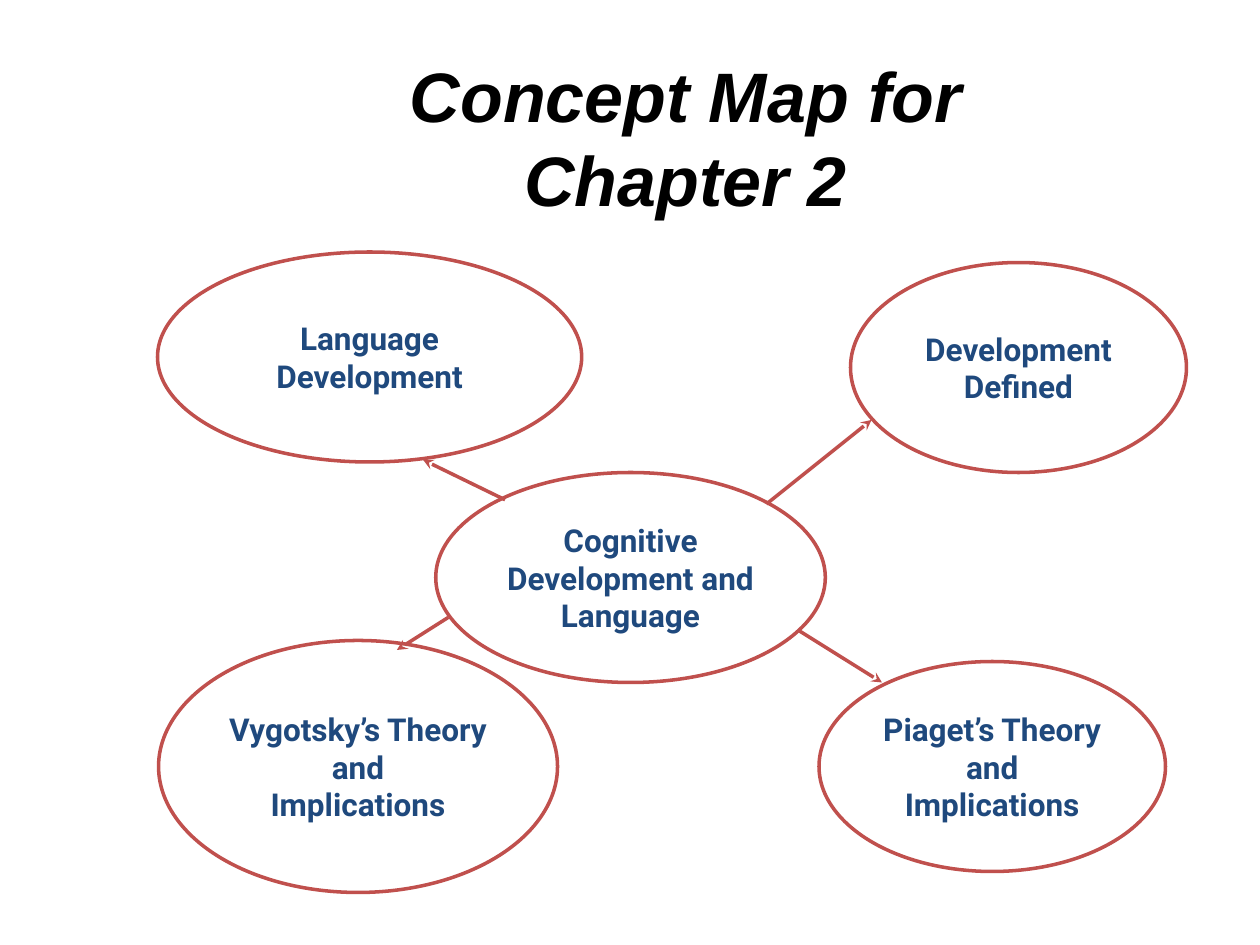
from dataclasses import dataclass

from lxml.etree import SubElement
from pptx import Presentation
from pptx.dml.color import RGBColor
from pptx.enum.shapes import MSO_CONNECTOR as Connector, MSO_SHAPE as Shape
from pptx.enum.text import MSO_ANCHOR as Anchor, PP_ALIGN as Align
from pptx.oxml.ns import qn
from pptx.util import Inches, Pt


@dataclass(frozen=True)
class Theme:
    title_font: str = "Arial"
    title_size: int = 40
    title_color: str = "000000"
    node_font: str = "Roboto"
    node_size: int = 18
    node_color: str = "1F497D"
    outline: str = "C0504D"
    outline_width: int = 2


@dataclass(frozen=True)
class Box:
    """An area measured in grid cells, twelve to the inch."""
    col: float
    row: float
    cols: float
    rows: float

    def inner(self, col, row, cols, rows):
        return Box(self.col + col, self.row + row, cols, rows)

    def point(self, col, row):
        return cells(self.col + col), cells(self.row + row)

    def frame(self):
        return [cells(n) for n in (self.col, self.row, self.cols, self.rows)]


THEME = Theme()
CELLS_PER_INCH = 12
PAGE = Box(0, 0, 120, 90)

# Label lines, then column, row, columns and rows within the map
CONCEPTS = [
    (["Piaget’s Theory", "and", "Implications"], (63, 39, 33, 20)),
    (["Language", "Development"], (0, 0, 40.4, 20)),
    (["Vygotsky’s Theory", "and", "Implications"], (0.1, 37, 38, 24)),
    (["Development", "Defined"], (66, 1, 32, 20)),
    (["Cognitive", "Development and", "Language"], (26.5, 21, 37.1, 20)),
]

# Start and tip, as column and row within the map
BRANCHES = [
    ((58, 24), (68, 16)),
    ((61, 36), (69, 41)),
    ((27.7, 34.8), (22.8, 37.9)),
    ((33.1, 23.6), (25.3, 19.8)),
]


def cells(count):
    return Inches(count / CELLS_PER_INCH)


def write_centred(text_frame, lines, font_name, size, color, italic=False):
    text_frame.vertical_anchor = Anchor.MIDDLE
    for index, line in enumerate(lines):
        paragraph = text_frame.add_paragraph() if index else text_frame.paragraphs[0]
        paragraph.alignment = Align.CENTER
        run = paragraph.add_run()
        run.text = line
        run.font.name = font_name
        run.font.size = Pt(size)
        run.font.bold = True
        run.font.italic = italic
        run.font.color.rgb = RGBColor.from_string(color)


def draw_outline(line):
    line.color.rgb = RGBColor.from_string(THEME.outline)
    line.width = Pt(THEME.outline_width)


def add_title(slide, box):
    title = slide.shapes.add_textbox(*box.frame())
    title.text_frame.word_wrap = True
    write_centred(title.text_frame, ["Concept Map for Chapter 2"],
                  THEME.title_font, THEME.title_size, THEME.title_color, italic=True)


def add_concept(slide, box, lines):
    concept = slide.shapes.add_shape(Shape.OVAL, *box.frame())
    concept.shadow.inherit = False
    concept.fill.background()
    draw_outline(concept.line)
    concept.text_frame.word_wrap = False
    write_centred(concept.text_frame, lines,
                  THEME.node_font, THEME.node_size, THEME.node_color)


def add_branch(slide, start, tip):
    branch = slide.shapes.add_connector(Connector.STRAIGHT, *start, *tip)
    draw_outline(branch.line)
    properties = branch._element.spPr
    SubElement(properties.find(qn("a:ln")), qn("a:tailEnd"), type="stealth")
    SubElement(properties, qn("a:effectLst"))


def add_concept_map(slide, box):
    for lines, place in CONCEPTS:
        add_concept(slide, box.inner(*place), lines)
    for start, tip in BRANCHES:
        add_branch(slide, box.point(*start), box.point(*tip))


def main():
    deck = Presentation()
    deck.slide_width, deck.slide_height = cells(PAGE.cols), cells(PAGE.rows)
    slide = deck.slides.add_slide(deck.slide_layouts[6])
    add_title(slide, PAGE.inner(26.6, 7.9, 77.4, 10.2))
    add_concept_map(slide, PAGE.inner(15, 24, 98, 61))
    deck.save("out.pptx")


if __name__ == "__main__":
    main()
